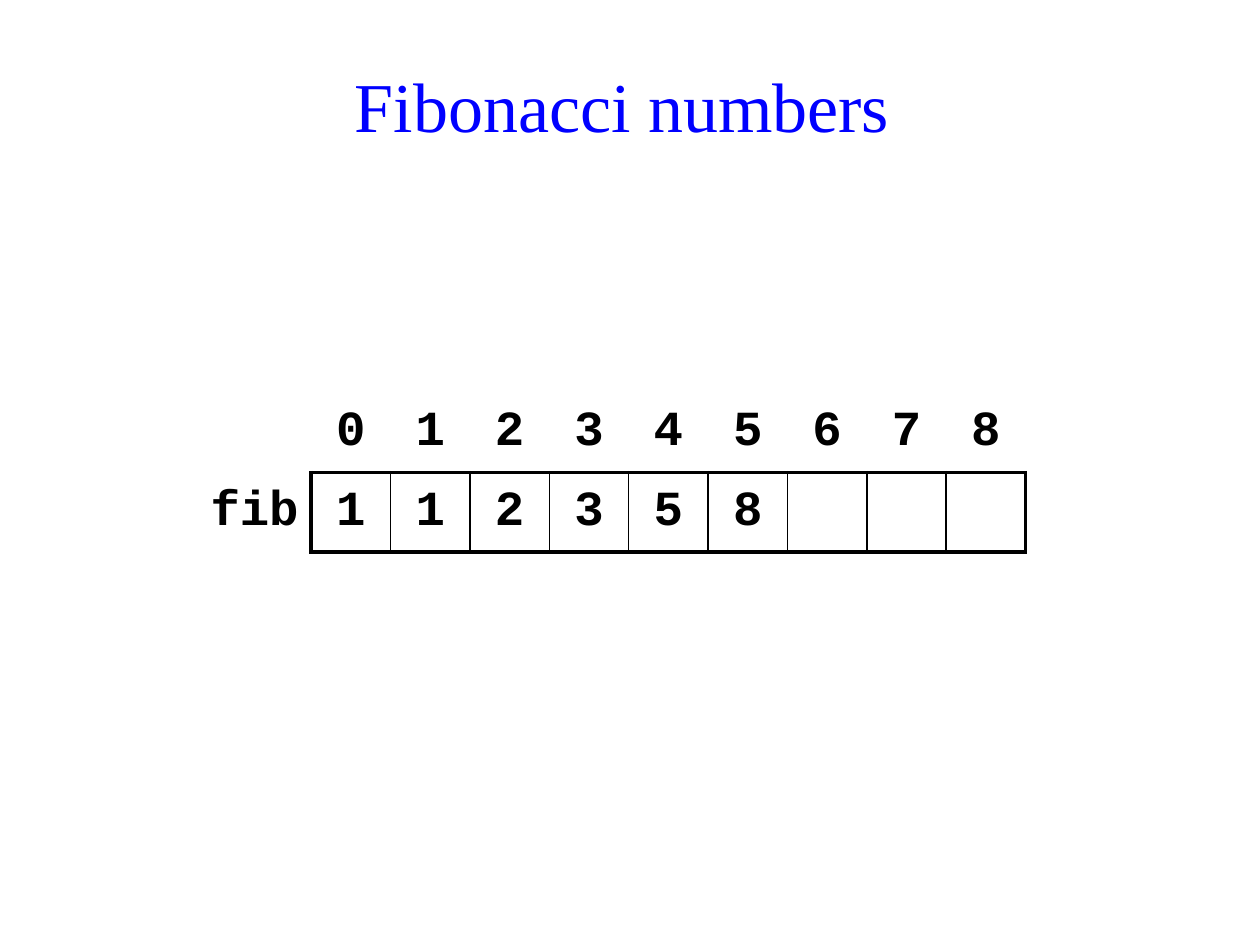
"""Build a slide showing the Fibonacci array and its indices."""
from dataclasses import dataclass

from lxml.etree import SubElement
from pptx import Presentation
from pptx.dml.color import RGBColor
from pptx.enum.text import MSO_ANCHOR, PP_ALIGN
from pptx.oxml.ns import qn
from pptx.util import Inches, Pt

BLACK = "000000"
BLUE = "0000FF"
OUTER, INNER = 2.25, 1
CELL_SIZE = 0.63
LABEL_WIDTH = 0.94
SLOTS = 9
FIBONACCI = [1, 1, 2, 3, 5, 8]


@dataclass
class TextStyle:
    name: str
    size: float
    color: str
    bold: bool = False


TITLE_STYLE = TextStyle("Times New Roman", 40, BLUE)
CODE_STYLE = TextStyle("Courier New", 28, BLACK, True)


def rgb(color: str) -> RGBColor:
    return RGBColor.from_string(color)


def write(frame, text: str, style: TextStyle, alignment=PP_ALIGN.CENTER) -> None:
    para = frame.paragraphs[0]
    para.alignment = alignment
    span = para.add_run()
    span.text = text
    formats = {"name": style.name, "size": Pt(style.size), "bold": style.bold}
    for key, value in formats.items():
        setattr(span.font, key, value)
    span.font.color.rgb = rgb(style.color)


def set_borders(cell, widths: dict[str, float]) -> None:
    properties = cell._tc.get_or_add_tcPr()
    for side in "LRTB":
        width = widths.get(side, 0)
        line = SubElement(properties, qn(f"a:ln{side}"), w=str(Pt(width)))
        if width:
            fill = SubElement(line, qn("a:solidFill"))
            SubElement(fill, qn("a:srgbClr"), val=BLACK)
        else:
            SubElement(line, qn("a:noFill"))


def border_widths(row: int, column: int) -> dict[str, float]:
    if column == 0:
        return {"R": OUTER} if row == 1 else {}
    if row == 0:
        return {"B": OUTER}
    return {
        "L": OUTER if column == 1 else INNER,
        "R": OUTER if column == SLOTS else INNER,
        "T": OUTER,
        "B": OUTER,
    }


def add_title(page, text: str) -> None:
    box = page.shapes.add_textbox(Inches(0.28), Inches(0.28), Inches(9.45), Inches(1.1))
    frame = box.text_frame
    frame.word_wrap = True
    frame.vertical_anchor = MSO_ANCHOR.MIDDLE
    write(frame, text, TITLE_STYLE)


def add_array(page, rows: list[list[str]]) -> None:
    width = LABEL_WIDTH + SLOTS * CELL_SIZE
    table = page.shapes.add_table(
        len(rows), SLOTS + 1, Inches(1.53), Inches(3.12),
        Inches(width), Inches(len(rows) * CELL_SIZE),
    ).table
    table.first_row = table.horz_banding = False
    for index, column in enumerate(table.columns):
        column.width = Inches(CELL_SIZE if index else LABEL_WIDTH)
    for row_index, texts in enumerate(rows):
        table.rows[row_index].height = Inches(CELL_SIZE)
        for column_index, text in enumerate(texts):
            cell = table.cell(row_index, column_index)
            set_borders(cell, border_widths(row_index, column_index))
            cell.fill.background()
            formats = {
                "vertical_anchor": MSO_ANCHOR.MIDDLE,
                "margin_left": Inches(0.1), "margin_right": Inches(0.1),
                "margin_top": Inches(0.04), "margin_bottom": Inches(0.04),
            }
            for key, value in formats.items():
                setattr(cell, key, value)
            if text:
                alignment = PP_ALIGN.CENTER if column_index else PP_ALIGN.RIGHT
                write(cell.text_frame, text, CODE_STYLE, alignment)


deck = Presentation()
deck.slide_width, deck.slide_height = Inches(10), Inches(7.5)
page = deck.slides.add_slide(deck.slide_layouts[6])
add_title(page, "Fibonacci numbers ")
indices = ["", *map(str, range(SLOTS))]
values = ["fib", *map(str, FIBONACCI), *[""] * (SLOTS - len(FIBONACCI))]
add_array(page, [indices, values])
deck.save("out.pptx")
